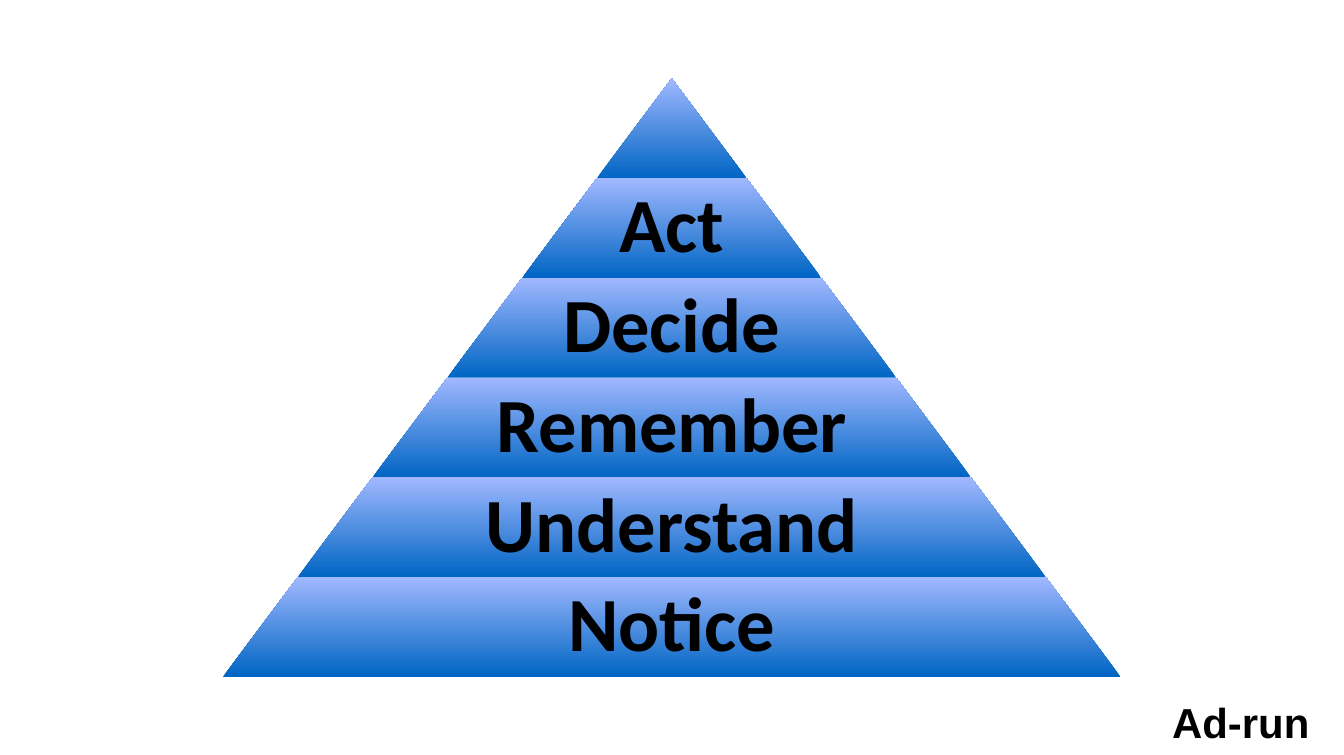
from dataclasses import dataclass

from pptx import Presentation
from pptx.dml.color import RGBColor
from pptx.enum.shapes import MSO_SHAPE as Preset
from pptx.enum.text import MSO_ANCHOR as Anchor, MSO_AUTO_SIZE as AutoSize, PP_ALIGN as Align
from pptx.util import Cm, Pt

# Pyramid geometry in centimetres
CENTRE = 13.0
TOP = 1.52
TIER_HEIGHT = 1.93
SLOPE = 0.75  # sideways run of each edge per unit of height
LABEL_SHARE = 0.65  # label width as a share of its tier
DARK, LIGHT, BLACK = "0065C3", "A0B8FF", "000000"
LABELS = ["", "Act", "Decide", "Remember", "Understand", "Notice"]


@dataclass
class Tier:
    level: int
    label: str

    @property
    def top(self) -> float:
        return TOP + self.level * TIER_HEIGHT

    @property
    def width(self) -> float:
        return 2 * SLOPE * TIER_HEIGHT * (self.level + 1)


def colour(value: str) -> RGBColor:
    return RGBColor.from_string(value)


def add_text(shapes, text: str, left: float, top: float, width: float, height: float,
             font: str, size: float, wrap: bool = True):
    box = shapes.add_textbox(Cm(left), Cm(top), Cm(width), Cm(height))
    frame = box.text_frame
    frame.word_wrap = wrap
    frame.vertical_anchor = Anchor.MIDDLE
    frame.margin_left = frame.margin_right = Cm(0.15)
    frame.margin_top = frame.margin_bottom = Cm(0.15)
    para = frame.paragraphs[0]
    para.text = text
    para.alignment = Align.CENTER
    para.font.name, para.font.size, para.font.bold = font, Pt(size), True
    para.font.color.rgb = colour(BLACK)
    return box


def add_tier(shapes, tier: Tier) -> None:
    band = shapes.add_shape(Preset.TRAPEZOID, Cm(CENTRE - tier.width / 2), Cm(tier.top),
                            Cm(tier.width), Cm(TIER_HEIGHT))
    band.adjustments[0] = SLOPE
    band.shadow.inherit = False
    band.line.fill.background()
    band.fill.gradient()
    band.fill.gradient_angle = 90
    for stop, shade in zip(band.fill.gradient_stops, (DARK, LIGHT)):
        stop.color.rgb = colour(shade)
    if tier.label:
        width = tier.width * LABEL_SHARE
        label = add_text(shapes, tier.label, CENTRE - width / 2, tier.top, width, TIER_HEIGHT,
                         "Calibri", 42)
        label.text_frame.paragraphs[0].line_spacing = 0.9


def main() -> None:
    deck = Presentation()
    deck.slide_width, deck.slide_height = Cm(26.01), Cm(14.61)
    page = deck.slides.add_slide(deck.slide_layouts[6])

    # Pyramid, from tip to base
    pyramid = page.shapes.add_group_shape()
    for level, label in enumerate(LABELS):
        add_tier(pyramid.shapes, Tier(level, label))

    # Corner caption
    caption = add_text(page.shapes, "Ad-run", 22.53, 13.34, 2.97, 1.27, "Arial", 23, wrap=False)
    caption.text_frame.auto_size = AutoSize.SHAPE_TO_FIT_TEXT

    deck.save("out.pptx")


if __name__ == "__main__":
    main()
